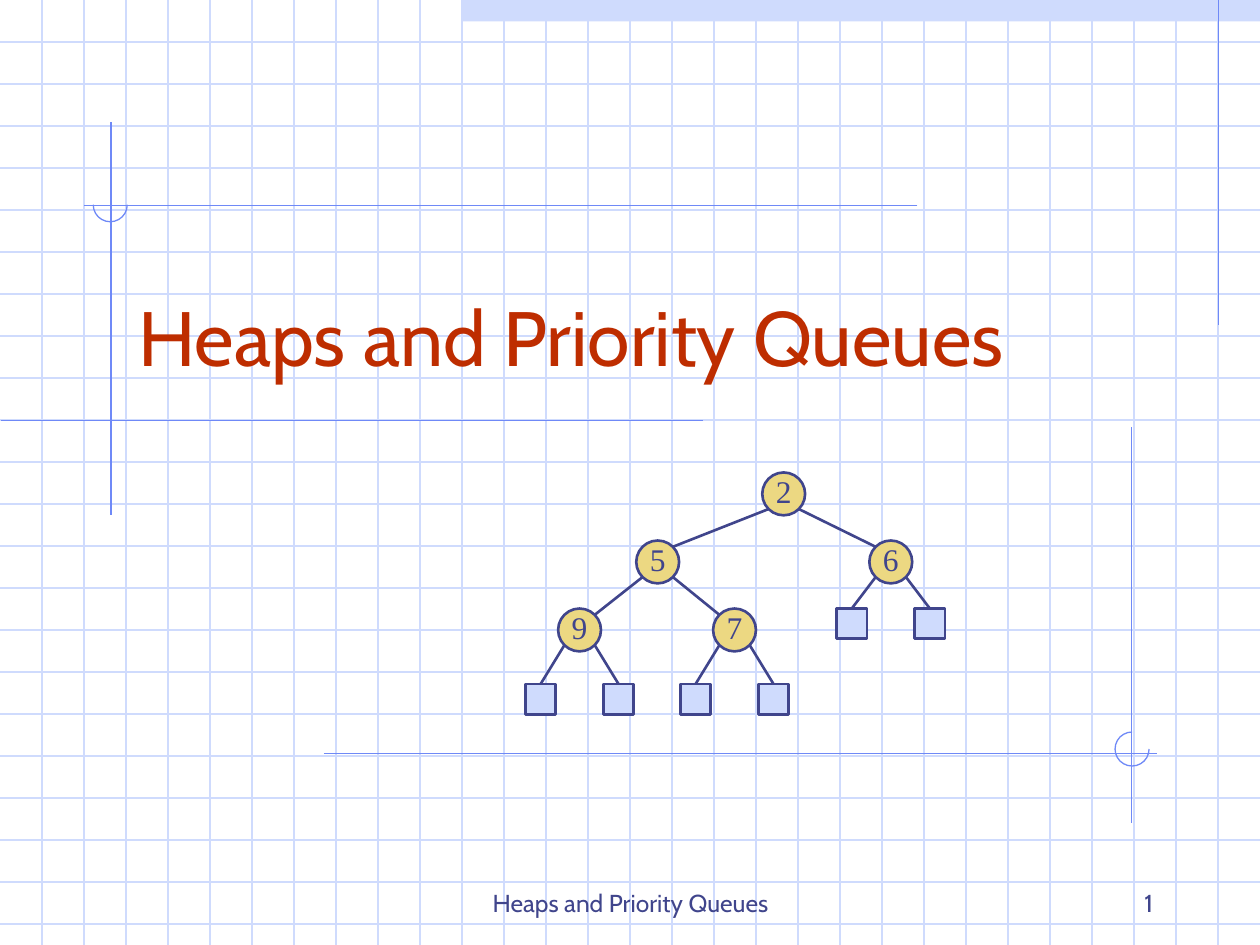
from math import sqrt
from lxml.etree import SubElement
from pptx import Presentation
from pptx.dml.color import RGBColor
from pptx.enum.shapes import MSO_CONNECTOR, MSO_SHAPE
from pptx.enum.text import MSO_ANCHOR, PP_ALIGN
from pptx.oxml.ns import qn
from pptx.util import Inches, Pt

PALE = RGBColor(0xCF, 0xDB, 0xFD)
BLUE = RGBColor(0x6F, 0x89, 0xF7)
NAVY = RGBColor(0x40, 0x45, 0x8C)
RED = RGBColor(0xBE, 0x2D, 0x00)
GOLD = RGBColor(0xEC, 0xD8, 0x82)

WIDE, HIGH = 10, 7.5
NODE, LEAF = 0.34, 0.24
SPREAD = 0.31
DIAG = NODE / 2 / sqrt(2)
RULES = [
    (9.67, 0, 9.67, 2.58),
    (0.88, 0.97, 0.88, 4.09),
    (5.58, 3.34, 0.01, 3.34),
    (7.28, 1.63, 0.67, 1.63),
    (2.57, 5.98, 9.18, 5.98),
    (8.98, 3.39, 8.98, 6.53),
]
ARCS = [(0.74, 1.49, -54, 108), (8.85, 5.81, 0, 162)]
NODES = {
    "2": (6.22, 3.92),
    "5": (5.22, 4.46),
    "6": (7.07, 4.46),
    "9": (4.6, 5),
    "7": (5.83, 5),
}
EDGES = [("2", "5", -1), ("2", "6", 1), ("5", "9", -1), ("5", "7", 1)]
LEAVES = {"6": 4.83, "9": 5.43, "7": 5.43}


class Deck:
    font = "Cabin"
    digit = "Times New Roman"

    def __init__(self):
        self.file = Presentation()
        self.file.slide_width = Inches(WIDE)
        self.file.slide_height = Inches(HIGH)
        self.slide = self.file.slides.add_slide(self.file.slide_layouts[6])

    def shape(self, kind, x, y, w, h, fill=None, line=None, width=1.5):
        item = self.slide.shapes.add_shape(
            kind, Inches(x), Inches(y), Inches(w), Inches(h))
        item.shadow.inherit = False
        if fill is None:
            item.fill.background()
        else:
            item.fill.solid()
            item.fill.fore_color.rgb = fill
        if line is None:
            item.line.fill.background()
        else:
            item.line.color.rgb = line
            item.line.width = Pt(width)
        return item

    def line(self, x1, y1, x2, y2, color, width=0.75):
        item = self.slide.shapes.add_connector(
            MSO_CONNECTOR.STRAIGHT,
            Inches(x1), Inches(y1), Inches(x2), Inches(y2))
        item.line.color.rgb = color
        item.line.width = Pt(width)
        SubElement(item._element.spPr, qn("a:effectLst"))
        return item

    def label(self, frame, words, size, color, align, font):
        para = frame.paragraphs[0]
        para.text = words
        para.alignment = align
        para.font.name = font
        para.font.size = Pt(size)
        para.font.color.rgb = color

    def text(self, x, y, w, h, words, size, color, align):
        box = self.slide.shapes.add_textbox(
            Inches(x), Inches(y), Inches(w), Inches(h))
        frame = box.text_frame
        frame.word_wrap = True
        frame.vertical_anchor = MSO_ANCHOR.BOTTOM
        self.label(frame, words, size, color, align, self.font)

    def arc(self, x, y, start, end):
        item = self.shape(MSO_SHAPE.ARC, x, y, 0.27, 0.27, None, BLUE, 0.75)
        item.adjustments[0] = start
        item.adjustments[1] = end

    def node(self, key, x, y):
        item = self.shape(MSO_SHAPE.OVAL, x - NODE / 2, y - NODE / 2,
                          NODE, NODE, GOLD, NAVY)
        frame = item.text_frame
        frame.word_wrap = False
        frame.vertical_anchor = MSO_ANCHOR.MIDDLE
        frame.margin_left = frame.margin_right = frame.margin_top = 0
        frame.margin_bottom = Inches(0.05)
        self.label(frame, key, 18, NAVY, PP_ALIGN.CENTER, self.digit)

    def edge(self, x1, y1, x2, y2, side):
        return self.line(x1 + side * DIAG, y1 + DIAG, x2, y2, NAVY, 1.5)

    def leaf(self, x, y, top, side):
        mid = x + side * SPREAD
        box = self.shape(MSO_SHAPE.RECTANGLE, mid - LEAF / 2, top,
                         LEAF, LEAF, PALE, NAVY)
        self.edge(x, y, mid, top, side).end_connect(box, 0)


def main():
    deck = Deck()
    deck.shape(MSO_SHAPE.RECTANGLE, 3.67, 0, 6.33, 0.17, PALE)
    for row in range(1, 23):
        deck.line(0, row / 3, WIDE, row / 3, PALE)
    for col in range(1, 30):
        deck.line(col / 3, 0, col / 3, HIGH, PALE)
    for rule in RULES:
        deck.line(*rule, BLUE)
    for arc in ARCS:
        deck.arc(*arc)

    title = "Heaps and Priority Queues"
    deck.text(3.42, 6.83, 3.17, 0.5, title, 14, NAVY, PP_ALIGN.CENTER)
    deck.text(7.17, 6.83, 2.08, 0.5, "1", 14, NAVY, PP_ALIGN.RIGHT)
    deck.text(1, 1.83, 8.5, 1.25, title, 44, RED, PP_ALIGN.LEFT)

    for key, spot in NODES.items():
        deck.node(key, *spot)
    for top, low, side in EDGES:
        x, y = NODES[low]
        deck.edge(*NODES[top], x - side * DIAG, y - DIAG, side)
    for key, top in LEAVES.items():
        for side in (-1, 1):
            deck.leaf(*NODES[key], top, side)
    deck.file.save("out.pptx")


if __name__ == "__main__":
    main()
